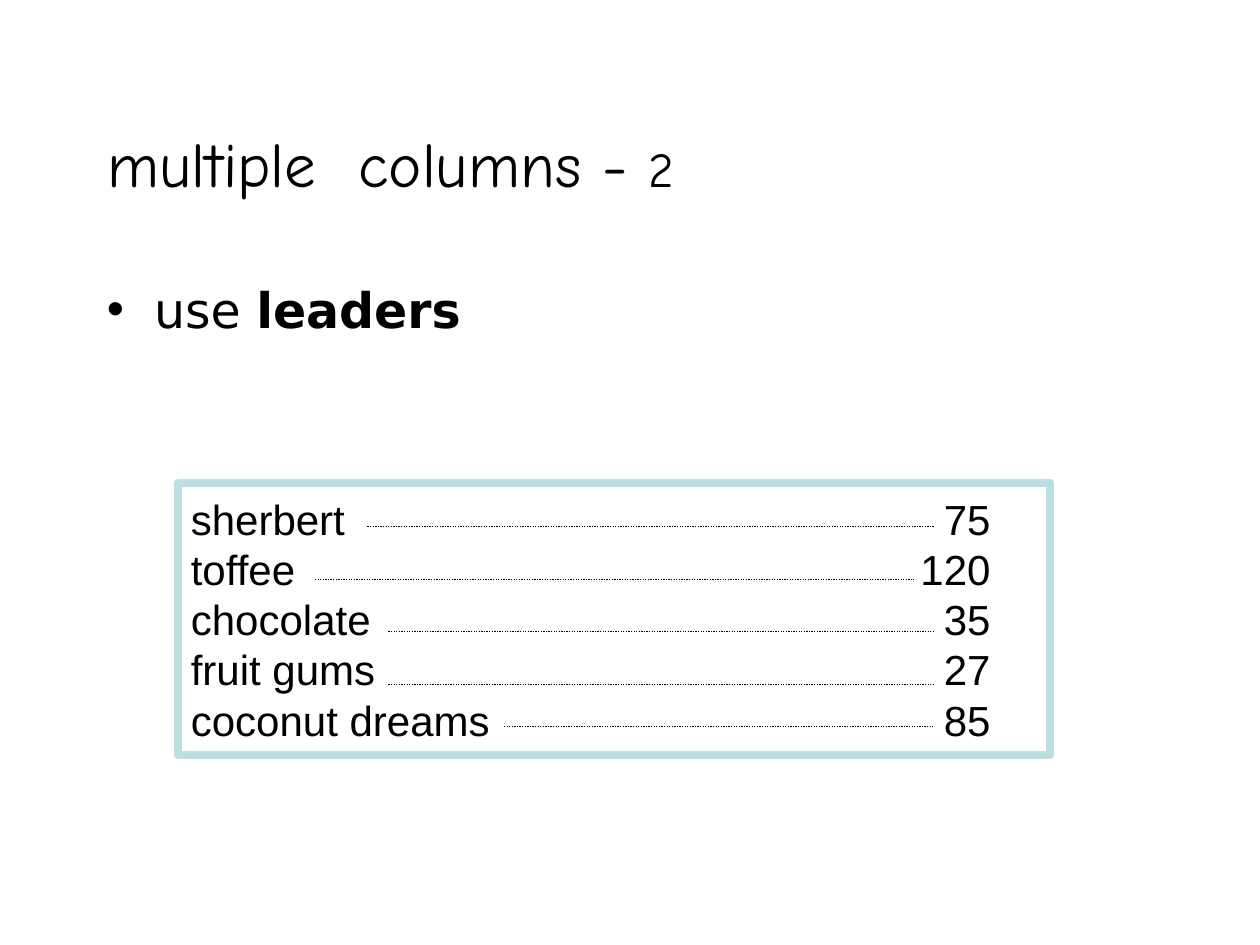
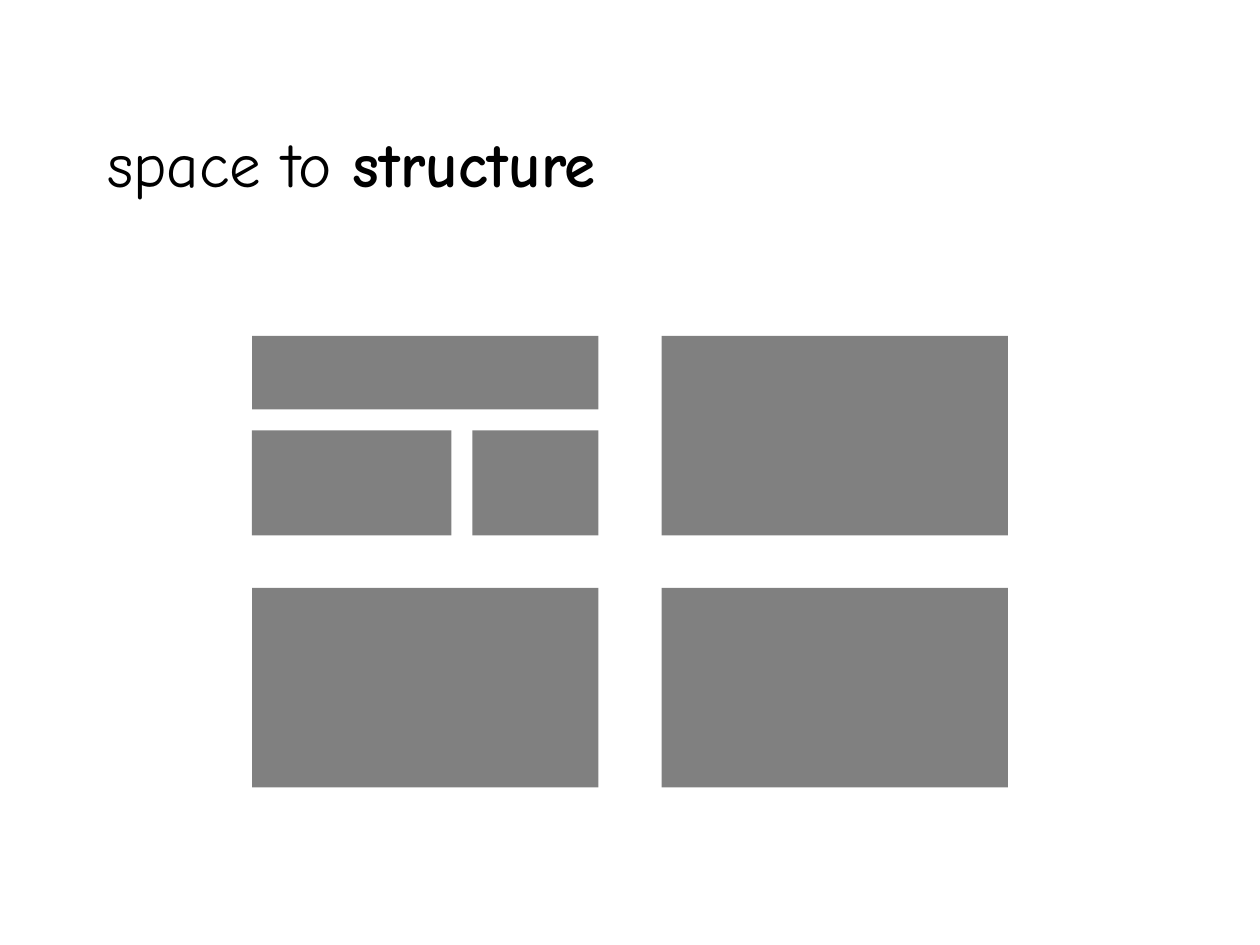
from dataclasses import dataclass

import pptx
import pptx.dml.color
import pptx.enum.dml
import pptx.enum.shapes
import pptx.enum.text
import pptx.oxml
import pptx.oxml.ns
import pptx.presentation
import pptx.shapes.base
import pptx.slide
import pptx.text.text
import pptx.util
from lxml import etree

Pt = pptx.util.Pt
RGBColor = pptx.dml.color.RGBColor
Anchor = pptx.enum.text.MSO_ANCHOR
Align = pptx.enum.text.PP_ALIGN
qn = pptx.oxml.ns.qn

# Shared style
BLACK = RGBColor(0x00, 0x00, 0x00)
PALE_TEAL = RGBColor(0xBB, 0xE0, 0xE3)
GREY = RGBColor(0x80, 0x80, 0x80)
TITLE_FONT = "Comic Neue"
BODY_FONT = "DejaVu Sans"
LIST_FONT = "Arial"
TITLE_ONLY_LAYOUT = 5


@dataclass(frozen=True)
class Box:
    left: float
    top: float
    width: float
    height: float

    def lengths(self) -> tuple[pptx.util.Length, ...]:
        return Pt(self.left), Pt(self.top), Pt(self.width), Pt(self.height)


@dataclass(frozen=True)
class Span:
    text: str
    size: float
    bold: bool = False


@dataclass(frozen=True)
class Sweet:
    name: str
    count: int
    leader_start: float
    leader_end: float
    leader_height: float


TITLE_BOX = Box(54, 48, 540, 90)

# Price list on the first slide
BULLET_BOX = Box(54, 156, 612, 324)
BULLET_INDENT = 27
LIST_BOX = Box(102, 276, 498, 155.5)
COUNT_TAB = 457
SWEETS = [
    Sweet("sherbert", 75, 210, 534, 301),
    Sweet("toffee", 120, 180, 522, 331),
    Sweet("chocolate", 35, 222, 534, 361),
    Sweet("fruit gums", 27, 222, 534, 391),
    Sweet("coconut dreams", 85, 288, 534, 415),
]

# Block grid on the second slide
GRID_LEFT, GRID_TOP = 144, 192
BLOCK_WIDTH, BLOCK_HEIGHT = 198, 114
COLUMN_GAP, ROW_GAP, INNER_GAP = 36, 30, 12
HEADER_HEIGHT, WIDE_PART = 42, 114


def write_spans(paragraph: pptx.text.text._Paragraph, spans: list[Span], font: str) -> None:
    paragraph.alignment = Align.LEFT
    for span in spans:
        run = paragraph.add_run()
        run.text = span.text
        run.font.name = font
        run.font.size = Pt(span.size)
        run.font.bold = span.bold
        run.font.color.rgb = BLACK


def add_titled_slide(presentation: pptx.presentation.Presentation,
                     spans: list[Span]) -> pptx.slide.Slide:
    slide = presentation.slides.add_slide(presentation.slide_layouts[TITLE_ONLY_LAYOUT])
    title = slide.shapes.title
    title.left, title.top, title.width, title.height = TITLE_BOX.lengths()
    text_frame = title.text_frame
    text_frame.auto_size = pptx.enum.text.MSO_AUTO_SIZE.NONE
    text_frame.vertical_anchor = Anchor.MIDDLE
    write_spans(text_frame.paragraphs[0], spans, TITLE_FONT)
    return slide


def add_rectangle(slide: pptx.slide.Slide, box: Box) -> pptx.shapes.base.BaseShape:
    shape = slide.shapes.add_shape(pptx.enum.shapes.MSO_SHAPE.RECTANGLE, *box.lengths())
    shape.shadow.inherit = False
    return shape


def add_bullet(slide: pptx.slide.Slide, spans: list[Span]) -> None:
    text_frame = slide.shapes.add_textbox(*BULLET_BOX.lengths()).text_frame
    text_frame.word_wrap = True
    paragraph = text_frame.paragraphs[0]
    write_spans(paragraph, spans, BODY_FONT)
    properties = paragraph._p.get_or_add_pPr()
    properties.set("marL", str(Pt(BULLET_INDENT)))
    properties.set("indent", str(-Pt(BULLET_INDENT)))
    etree.SubElement(properties, qn("a:buFont"), typeface="Arial")
    etree.SubElement(properties, qn("a:buChar"), char="•")


def add_price_list(slide: pptx.slide.Slide) -> None:
    frame = add_rectangle(slide, LIST_BOX)
    frame.fill.background()
    frame.line.color.rgb = PALE_TEAL
    frame.line.width = Pt(4.5)
    frame.text_frame.word_wrap = True
    frame.text_frame.vertical_anchor = Anchor.MIDDLE
    paragraph = frame.text_frame.paragraphs[0]
    rows = "\v".join(f"{sweet.name}\t{sweet.count}" for sweet in SWEETS)
    paragraph.text = rows
    paragraph.alignment = Align.LEFT
    paragraph.line_spacing = Pt(28.7)
    for run in paragraph.runs:
        run.font.name = LIST_FONT
        run.font.size = Pt(24)
        run.font.color.rgb = BLACK
    # Right-aligned tab stop for the counts
    tab_list = etree.SubElement(paragraph._p.get_or_add_pPr(), qn("a:tabLst"))
    etree.SubElement(tab_list, qn("a:tab"), pos=str(Pt(COUNT_TAB)), algn="r")


def add_leader(slide: pptx.slide.Slide, sweet: Sweet) -> None:
    height = Pt(sweet.leader_height)
    leader = slide.shapes.add_connector(
        pptx.enum.shapes.MSO_CONNECTOR.STRAIGHT,
        Pt(sweet.leader_start), height, Pt(sweet.leader_end), height)
    leader.line.color.rgb = BLACK
    leader.line.width = Pt(0.75)
    leader.line.dash_style = pptx.enum.dml.MSO_LINE.ROUND_DOT
    etree.SubElement(leader._element.spPr, qn("a:effectLst"))


def structure_blocks() -> list[Box]:
    right = GRID_LEFT + BLOCK_WIDTH + COLUMN_GAP
    bottom = GRID_TOP + BLOCK_HEIGHT + ROW_GAP
    blocks = [Box(left, top, BLOCK_WIDTH, BLOCK_HEIGHT)
              for left, top in ((GRID_LEFT, bottom), (right, bottom), (right, GRID_TOP))]
    # The top left block splits into a header and two parts
    part_top = GRID_TOP + HEADER_HEIGHT + INNER_GAP
    part_height = BLOCK_HEIGHT - HEADER_HEIGHT - INNER_GAP
    narrow_offset = WIDE_PART + INNER_GAP
    return blocks + [
        Box(GRID_LEFT, part_top, WIDE_PART, part_height),
        Box(GRID_LEFT + narrow_offset, part_top, BLOCK_WIDTH - narrow_offset, part_height),
        Box(GRID_LEFT, GRID_TOP, BLOCK_WIDTH, HEADER_HEIGHT),
    ]


def build_leaders_slide(presentation: pptx.presentation.Presentation) -> None:
    slide = add_titled_slide(presentation, [Span("multiple  columns - ", 36), Span("2", 28)])
    add_bullet(slide, [Span("use ", 28), Span("leaders", 28, bold=True)])
    add_price_list(slide)
    for sweet in SWEETS:
        add_leader(slide, sweet)


def build_structure_slide(presentation: pptx.presentation.Presentation) -> None:
    slide = add_titled_slide(presentation, [Span("space to ", 36), Span("structure", 36, bold=True)])
    for box in structure_blocks():
        block = add_rectangle(slide, box)
        block.fill.solid()
        block.fill.fore_color.rgb = GREY
        block.line.fill.background()


def main() -> None:
    presentation = pptx.Presentation()
    presentation.slide_width = Pt(720)
    presentation.slide_height = Pt(540)
    build_leaders_slide(presentation)
    build_structure_slide(presentation)
    presentation.save("out.pptx")


if __name__ == "__main__":
    main()
